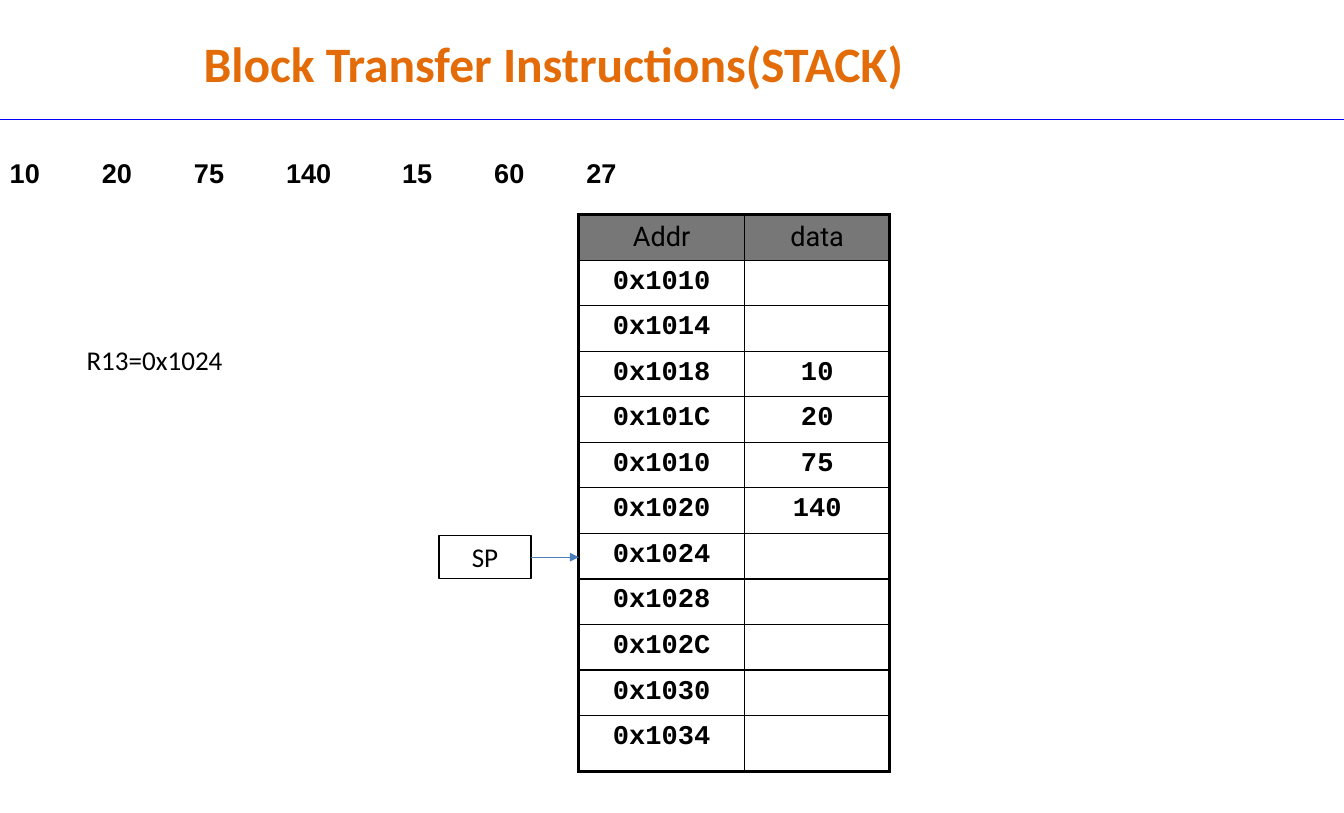
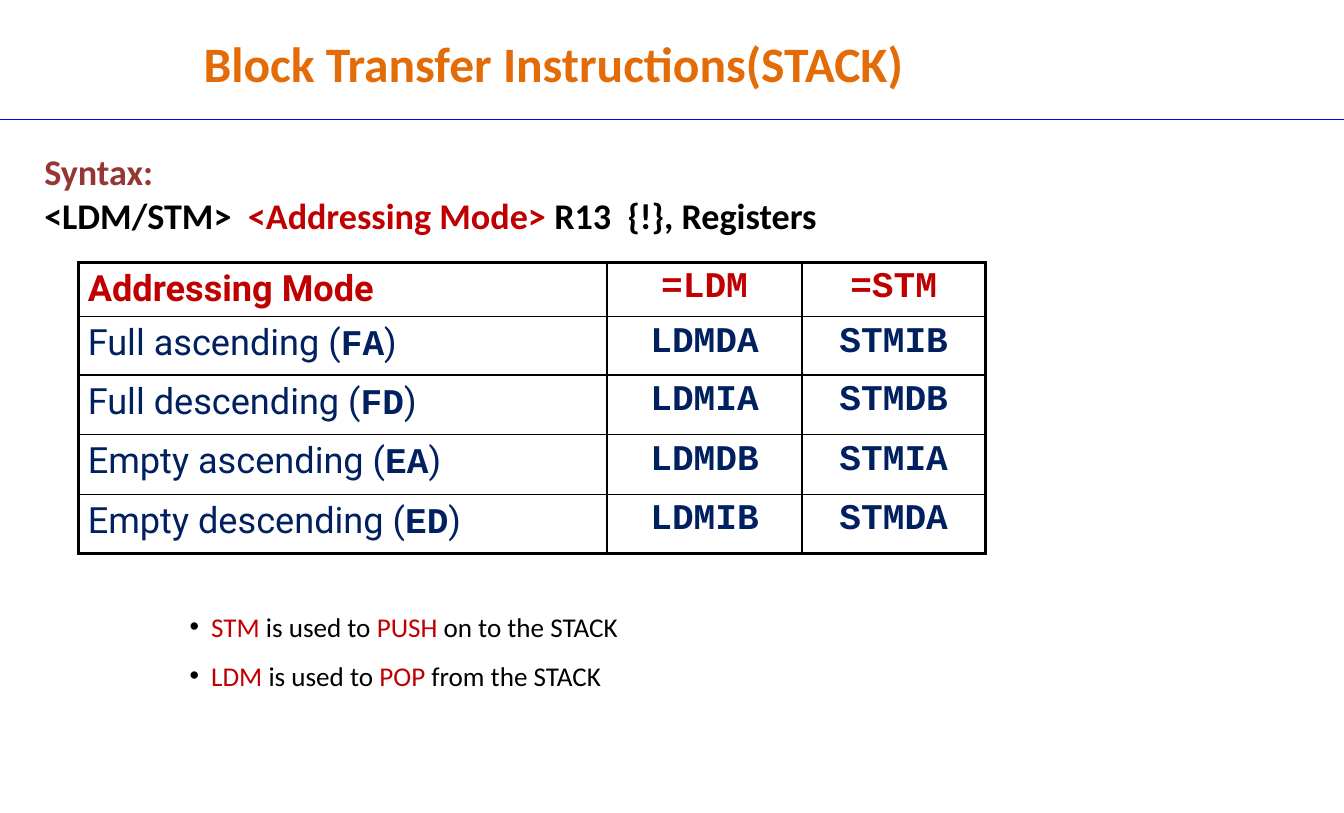
"""Two slides on stack block transfer instructions."""
from lxml import etree
from pptx import Presentation
from pptx import util as u
from pptx.dml.color import RGBColor
from pptx.enum import shapes, text
from pptx.oxml import ns

PX = 9144
WIDE, HIGH = 1240, 750
HUES = dict(title="E36C09", rule="0000FF", ink="000000", head="777777",
            paper="FFFFFF", arrow="4A7DBA", red="C00000", navy="002060",
            wine="953734")
SANS, MONO, GRID, PLAIN = "Calibri", "Courier New", "Roboto", "Arial"
MID, LEFT = text.PP_ALIGN.CENTER, text.PP_ALIGN.LEFT
THICK, THIN = 2.25, 1

TITLE = "Block Transfer Instructions(STACK)"
VALUES = ["10", "20", "75", "140", "15", "60", "27"]
MEMORY = [("0x1010", ""), ("0x1014", ""), ("0x1018", "10"), ("0x101C", "20"),
          ("0x1010", "75"), ("0x1020", "140"), ("0x1024", ""), ("0x1028", ""),
          ("0x102C", ""), ("0x1030", ""), ("0x1034", "")]
MODES = [("Full ascending", "FA", "LDMDA", "STMIB"),
         ("Full descending", "FD", "LDMIA", "STMDB"),
         ("Empty ascending", "EA", "LDMDB", "STMIA"),
         ("Empty descending", "ED", "LDMIB", "STMDA")]
SYNTAX = [[("Syntax:", "wine")],
          [("<LDM/STM>  ", "ink"), ("<Addressing Mode> ", "red"),
           ("R13  {!}, Registers", "ink")]]
NOTES = [[("STM ", "red"), ("is used to ", "ink"), ("PUSH", "red"),
          (" on to the STACK", "ink")],
         [("LDM ", "red"), ("is used to ", "ink"), ("POP", "red"),
          (" from the STACK", "ink")]]


def px(*nums):
    return [u.Emu(n * PX) for n in nums]


def hue(name):
    return RGBColor.from_string(HUES[name])


def write(para, runs, size=18, face=SANS, bold=False, align=LEFT):
    para.alignment = align
    for words, tone, *own in runs:
        run = para.add_run()
        run.text = words
        font = run.font
        font.size = u.Pt(size)
        font.name, font.bold = own or (face, bold)
        font.color.rgb = hue(tone)


def fill_box(shape, paras, **look):
    frame = shape.text_frame
    frame.word_wrap = True
    for i, runs in enumerate(paras):
        para = frame.add_paragraph() if i else frame.paragraphs[0]
        write(para, runs, **look)
    return frame


def add_text(slide, at, paras, **look):
    return fill_box(slide.shapes.add_textbox(*px(*at)), paras, **look)


def add_line(slide, ends, tone, arrow=False):
    line = slide.shapes.add_connector(
        shapes.MSO_CONNECTOR.STRAIGHT, *px(*ends))
    line.line.color.rgb = hue(tone)
    line.line.width = u.Pt(0.75)
    if arrow:
        etree.SubElement(line.line._get_or_add_ln(), ns.qn("a:tailEnd"),
                         type="triangle")
    etree.SubElement(line._element.spPr, ns.qn("a:effectLst"))


def add_bullet(para, gap):
    props = para._p.get_or_add_pPr()
    props.set("marL", str(gap * PX))
    props.set("indent", str(-gap * PX))
    tone = etree.SubElement(props, ns.qn("a:buClr"))
    etree.SubElement(tone, ns.qn("a:srgbClr"), val=HUES["ink"])
    etree.SubElement(props, ns.qn("a:buFont"), typeface=PLAIN)
    etree.SubElement(props, ns.qn("a:buChar"), char="•")


def add_edges(cell, row, col, last, end):
    edges = dict(L=col == 0, R=col == end, T=row == 0, B=row == last)
    for side, outer in edges.items():
        edge = etree.SubElement(
            cell._tc.get_or_add_tcPr(), ns.qn("a:ln" + side),
            w=str(u.Pt(THICK if outer else THIN)))
        solid = etree.SubElement(edge, ns.qn("a:solidFill"))
        etree.SubElement(solid, ns.qn("a:srgbClr"), val=HUES["ink"])


def add_grid(slide, spot, cols, rows, cells, pad, size=18, edged=True):
    table = slide.shapes.add_table(
        len(rows), len(cols), *px(*spot, sum(cols), sum(rows))).table
    table.first_row = table.horz_banding = False
    for part, wide in zip(table.columns, cols):
        part.width = u.Emu(wide * PX)
    for part, high in zip(table.rows, rows):
        part.height = u.Emu(high * PX)
    for r, line in enumerate(cells):
        for c, (runs, align, back) in enumerate(line):
            cell = table.cell(r, c)
            cell.margin_left, cell.margin_top = px(*pad)
            cell.margin_right, cell.margin_bottom = px(*pad)
            if edged:
                add_edges(cell, r, c, len(rows) - 1, len(cols) - 1)
            if back:
                cell.fill.solid()
                cell.fill.fore_color.rgb = hue(back)
            else:
                cell.fill.background()
            write(cell.text_frame.paragraphs[0], runs, size, align=align)


def add_base(deck):
    slide = deck.slides.add_slide(deck.slide_layouts[6])
    frame = add_text(slide, (100, 24, 821, 67), [[(TITLE, "title")]],
                     size=32.9, bold=True, align=MID)
    frame.vertical_anchor = text.MSO_ANCHOR.MIDDLE
    add_line(slide, (0, 110, WIDE, 110), "rule")
    return slide


def draw_stack(slide):
    left, top = 534, 198
    cells = [[([(t, "ink", GRID, False)], MID, "head")
              for t in ("Addr", "data")]]
    cells += [[([(t, "ink", MONO, True)] if t else [], MID, None)
               for t in pair] for pair in MEMORY]
    highs = [42] + [41] * (len(MEMORY) - 1) + [52]
    add_grid(slide, (left, top), [153, 134], highs, cells, (12, 6))

    strip = [([(t, "ink", PLAIN, True)], LEFT, "paper") for t in VALUES]
    add_grid(slide, (0, 142), [85, 85, 85, 107, 85, 85, 186], [41],
             [strip], (9, 5), edged=False)

    x, y, wide, high = 405, 494, 85, 40
    box = slide.shapes.add_shape(shapes.MSO_SHAPE.RECTANGLE,
                                 *px(x, y, wide, high))
    box.shadow.inherit = False
    box.fill.background()
    box.line.color.rgb = hue("ink")
    box.line.width = u.Pt(0.75)
    fill_box(box, [[("SP", "ink")]], align=MID)
    mid = y + high // 2
    add_line(slide, (x + wide, mid, left, mid), "arrow", arrow=True)
    add_text(slide, (70, 312, 182, 40), [[("R13=0x1024", "ink")]])


def draw_modes(slide):
    cells = [[([("Addressing Mode", "red", GRID, True)], LEFT, None)]
             + [([(t, "red", MONO, True)], MID, None)
                for t in ("=LDM", "=STM")]]
    for name, code, *ops in MODES:
        label = [(name + " (", "navy", GRID, False),
                 (code, "navy", MONO, True), (")", "navy", GRID, False)]
        cells.append([(label, LEFT, None)]
                     + [([(t, "navy", MONO, True)], MID, None) for t in ops])
    add_grid(slide, (72, 242), [488, 180, 169], [50, 54, 55, 55, 55],
             cells, (9, 5), size=24)
    add_text(slide, (31, 133, 972, 91), SYNTAX, size=24, bold=True)
    notes = add_text(slide, (165, 558, 521, 86), NOTES)
    for para in notes.paragraphs:
        add_bullet(para, 20)
    notes.paragraphs[1].line_spacing = 1.5


def main():
    deck = Presentation()
    deck.slide_width, deck.slide_height = px(WIDE, HIGH)
    for draw in (draw_stack, draw_modes):
        draw(add_base(deck))
    deck.save("out.pptx")


if __name__ == "__main__":
    main()
